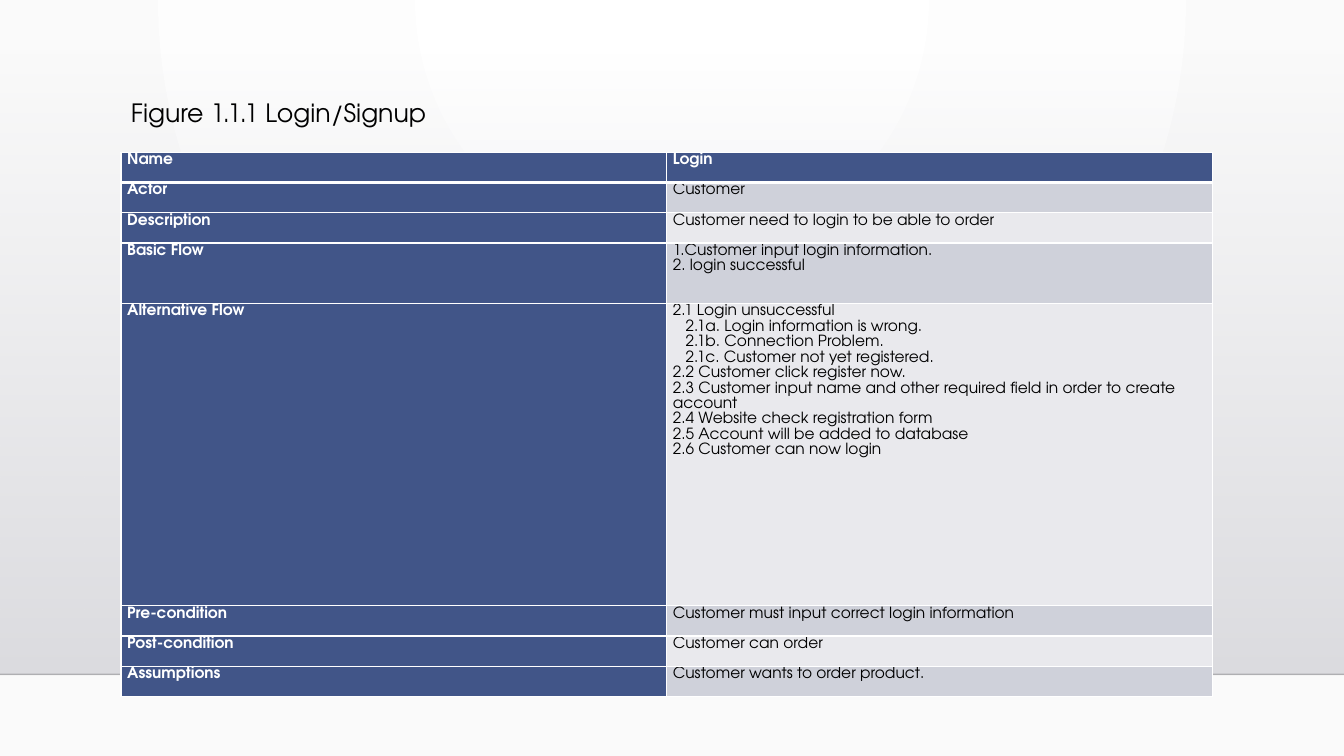
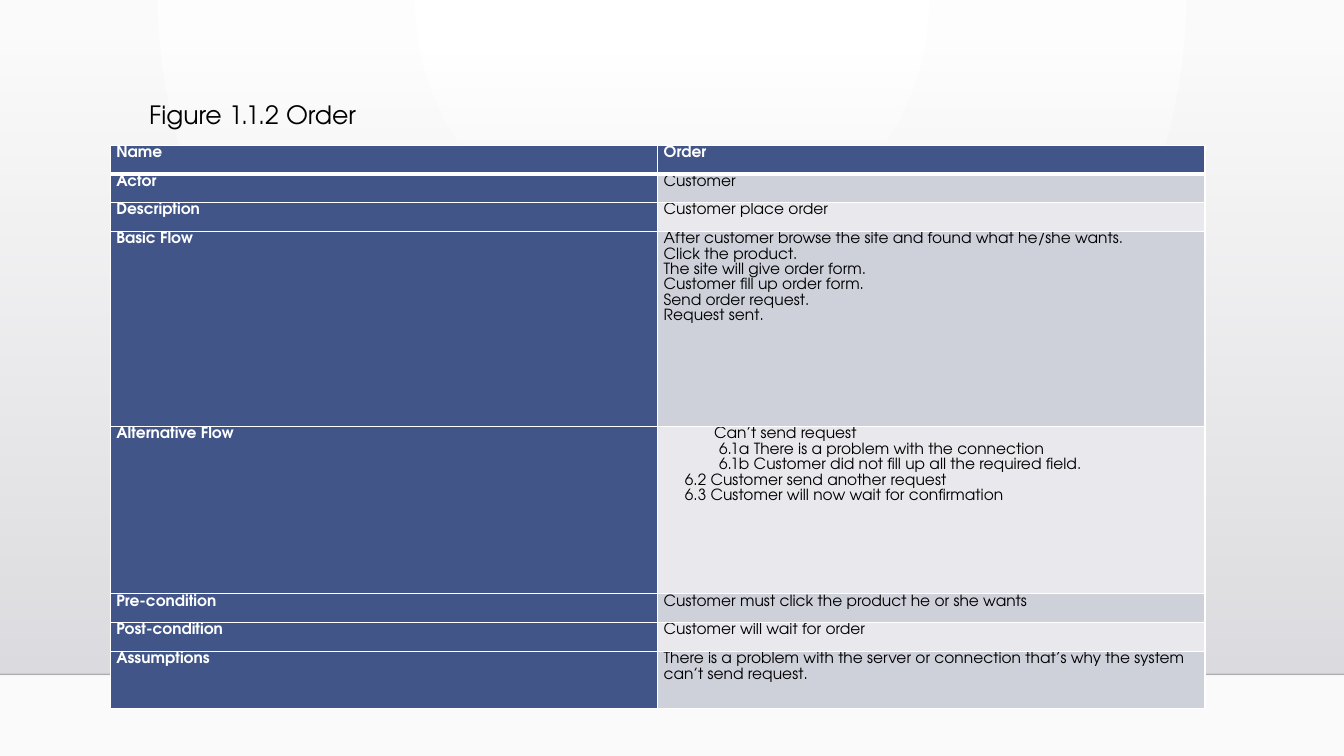
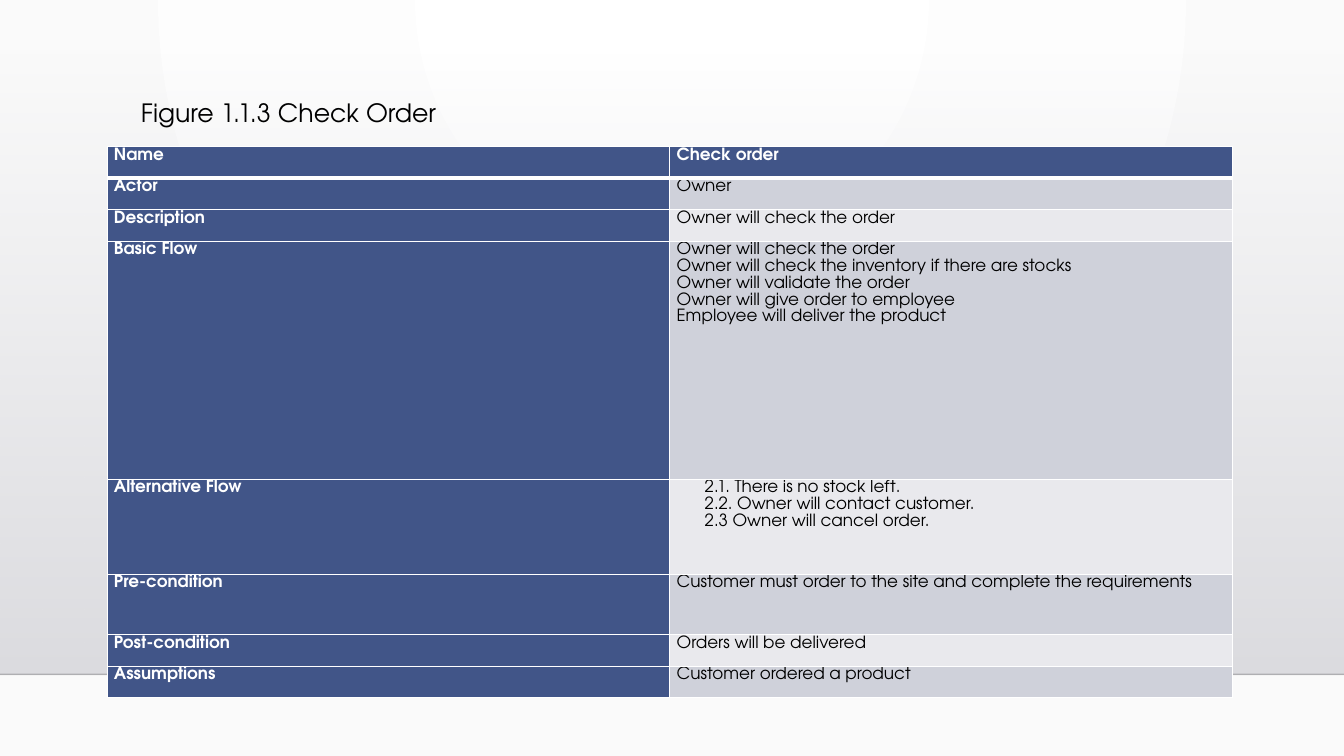
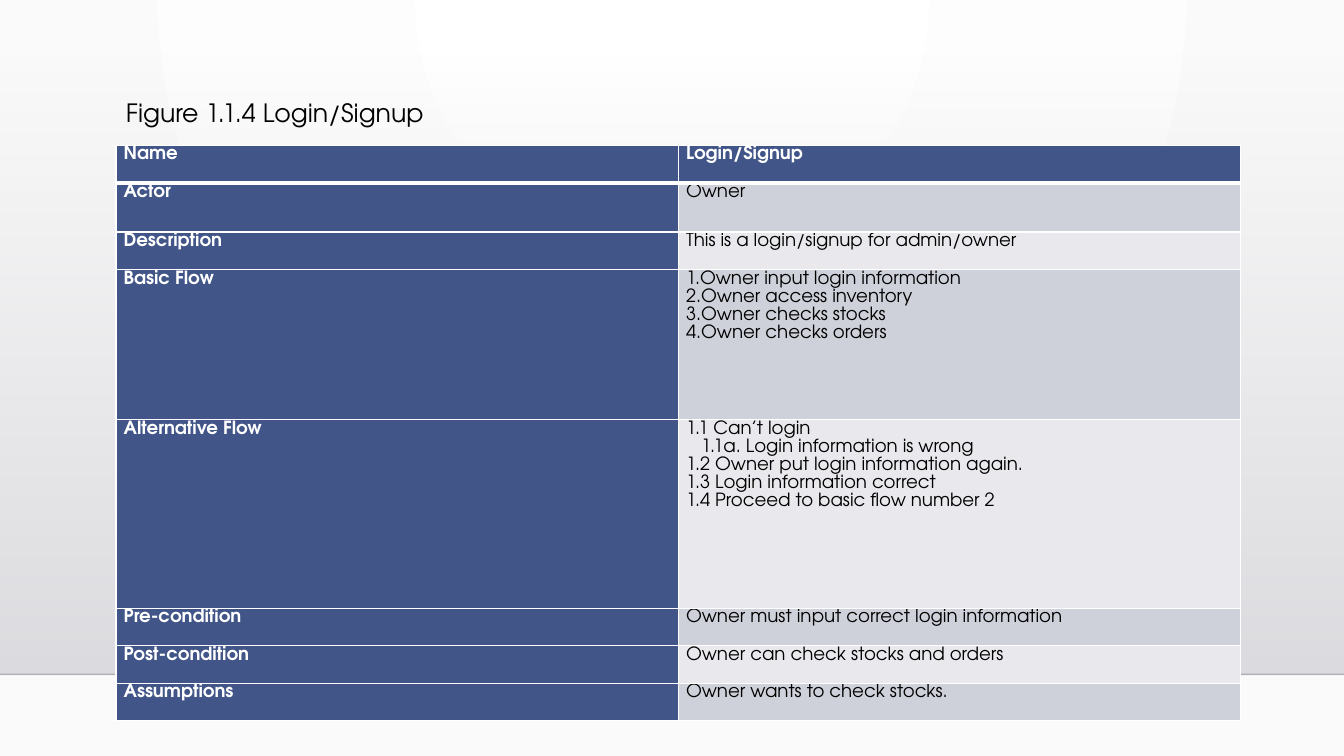
from lxml.etree import SubElement
from pptx import Presentation
from pptx.dml.color import RGBColor
from pptx.enum.shapes import MSO_CONNECTOR, MSO_SHAPE
from pptx.oxml import parse_xml
from pptx.oxml.ns import nsdecls, qn
from pptx.util import Pt

FONT = "TeX Gyre Adventor"
COLOURS = {
    "text": "000000",
    "white": "FFFFFF",
    "heading": "415588",
    "odd": "CFD1DA",
    "even": "E9E9ED",
    "page_edge": "FAFAFA",
    "band_top": "DCDCE0",
    "band_bottom": "DEDEE2",
    "floor": "000001",
}
LABELS = ["Name", "Actor", "Description", "Basic Flow", "Alternative Flow",
          "Pre-condition", "Post-condition", "Assumptions"]

USE_CASES = [
    {
        "title": "Figure 1.1.1 Login/Signup", "title_at": (86.4, 66.2),
        "table_at": (86.4, 108.7), "column": 389.8, "size": 11, "inset": 4.4,
        "rows": [21.6, 21.6, 21.6, 43.2, 216, 21.6, 21.6, 21.6],
        "details": [
            ["Login"],
            ["Customer"],
            ["Customer need to login to be able to order"],
            ["1.Customer input login information.", "2. login successful"],
            ["2.1 Login unsuccessful",
             ("2.1a. Login information is wrong.", 9.1),
             ("2.1b. Connection Problem.", 9.1),
             ("2.1c. Customer not yet registered.", 9.1),
             "2.2 Customer click register now.",
             "2.3 Customer input name and other required field in order to create account",
             "2.4 Website check registration form",
             "2.5 Account will be added to database",
             "2.6 Customer can now login"],
            ["Customer must input correct login information"],
            ["Customer can order"],
            ["Customer wants to order product."],
        ],
    },
    {
        "title": "Figure 1.1.2 Order", "title_at": (99.4, 67.4),
        "table_at": (78.7, 103.7), "column": 391, "size": 11, "inset": 4.4,
        "rows": [20.5, 20.5, 20.5, 139.5, 119.5, 20.5, 20.5, 41],
        "details": [
            ["Order"],
            ["Customer"],
            ["Customer place order"],
            ["After customer browse the site and found what he/she wants.",
             "Click the product.",
             "The site will give order form.",
             "Customer fill up order form.",
             "Send order request.",
             "Request sent."],
            [("Can’t send request", 36),
             ("6.1a There is a problem with the connection", 39.6),
             ("6.1b Customer did not fill up all the required field.", 39.6),
             ("6.2 Customer send another request", 15.2),
             ("6.3 Customer will now wait for confirmation", 15.2)],
            ["Customer must click the product he or she wants"],
            ["Customer will wait for order"],
            ["There is a problem with the server or connection that’s why the system can’t send request."],
        ],
    },
    {
        "title": "Figure 1.1.3 Check Order", "title_at": (93.6, 66.2),
        "table_at": (76.5, 104.7), "column": 402, "size": 12, "inset": 4.9,
        "rows": [22.6, 22.6, 22.6, 170, 67.8, 43, 22.6, 22.6],
        "details": [
            ["Check order"],
            ["Owner"],
            ["Owner will check the order"],
            ["Owner will check the order",
             "Owner will check the inventory if there are stocks",
             "Owner will validate the order",
             "Owner will give order to employee",
             "Employee will deliver the product"],
            [("2.1. There is no stock left.", 20),
             ("2.2. Owner will contact customer.", 20),
             ("2.3 Owner will cancel order.", 20)],
            ["Customer must order to the site and complete the requirements"],
            ["Orders will be delivered"],
            ["Customer ordered a product"],
        ],
    },
    {
        "title": "Figure 1.1.4 Login/Signup", "title_at": (82.8, 66.2),
        "table_at": (82.8, 103.7), "column": 401.8, "size": 13, "inset": 5.5,
        "rows": [26.8, 35.2, 26.8, 107.4, 134.6, 26.8, 26.8, 26.8],
        "details": [
            ["Login/Signup"],
            ["Owner"],
            ["This is a login/signup for admin/owner"],
            ["1.Owner input login information",
             "2.Owner access inventory",
             "3.Owner checks stocks",
             "4.Owner checks orders"],
            ["1.1 Can’t login",
             ("1.1a. Login information is wrong", 10.8),
             "1.2 Owner put login information again.",
             "1.3 Login information correct",
             "1.4 Proceed to basic flow number 2"],
            ["Owner must input correct login information"],
            ["Owner can check stocks and orders"],
            ["Owner wants to check stocks."],
        ],
    },
]


def set_gradient(properties, start, end, direction, start_alpha=100):
    gradient = parse_xml(
        f'<a:gradFill {nsdecls("a")} rotWithShape="1"><a:gsLst>'
        f'<a:gs pos="0"><a:srgbClr val="{COLOURS[start]}">'
        f'<a:alpha val="{start_alpha * 1000}"/></a:srgbClr></a:gs>'
        f'<a:gs pos="100000"><a:srgbClr val="{COLOURS[end]}"/></a:gs>'
        f'</a:gsLst>{direction}</a:gradFill>')
    properties.replace(properties.find(qn("a:solidFill")), gradient)


def fill_cell(cell, lines, colour, text_colour, bold, case, top, bottom):
    properties = cell._tc.get_or_add_tcPr()
    for side, width in (("L", 1), ("R", 1), ("T", top), ("B", bottom)):
        border = SubElement(properties, qn(f"a:ln{side}"), w=str(Pt(width)))
        paint = SubElement(border, qn("a:solidFill"))
        SubElement(paint, qn("a:srgbClr"), val=COLOURS["white"])
    cell.fill.solid()
    cell.fill.fore_color.rgb = RGBColor.from_string(COLOURS[colour])
    cell.margin_left = cell.margin_right = Pt(case["inset"])
    cell.margin_top = cell.margin_bottom = Pt(0)
    for index, line in enumerate(lines):
        text, indent = line if isinstance(line, tuple) else (line, 0)
        frame = cell.text_frame
        para = frame.add_paragraph() if index else frame.paragraphs[0]
        para.text = text
        para.line_spacing = 1.07
        if indent:
            para._p.get_or_add_pPr().set("marL", str(Pt(indent)))
        para.font.name = FONT
        para.font.size = Pt(case["size"])
        para.font.bold = bold
        para.font.color.rgb = RGBColor.from_string(COLOURS[text_colour])


deck = Presentation()
deck.slide_width = Pt(960)
deck.slide_height = Pt(540)
blank = deck.slide_layouts[6]
pages = [deck.slides.add_slide(blank) for case in USE_CASES]

master = deck.slide_master
master.background.fill.solid()
set_gradient(master.element.find(".//" + qn("p:bgPr")), "white", "page_edge",
             '<a:path path="circle"><a:fillToRect l="43000" t="0" r="43000" b="100000"/></a:path>')

band = pages[0].shapes.add_shape(MSO_SHAPE.RECTANGLE, Pt(0), Pt(36.7), Pt(960), Pt(445))
band.shadow.inherit = False
band.line.fill.background()
band.fill.solid()
set_gradient(band._element.spPr, "band_top", "band_bottom",
             '<a:lin ang="5400000" scaled="0"/>', start_alpha=0)

floor = pages[0].shapes.add_connector(MSO_CONNECTOR.STRAIGHT, Pt(0), Pt(481.7), Pt(960), Pt(481.7))
floor.line.width = Pt(1)
floor.line.color.rgb = RGBColor.from_string(COLOURS["floor"])
floor_colour = floor._element.spPr.find(".//" + qn("a:srgbClr"))
SubElement(floor_colour, qn("a:alpha"), val="20000")
SubElement(floor._element.spPr, qn("a:effectLst"))

for position, shape in enumerate((band, floor), start=2):
    master.element.cSld.spTree.insert(position, shape._element)

for page, case in zip(pages, USE_CASES):
    left, top = case["table_at"]
    table = page.shapes.add_table(len(LABELS), 2, Pt(left), Pt(top),
                                  Pt(2 * case["column"]), Pt(sum(case["rows"]))).table
    for column in table.columns:
        column.width = Pt(case["column"])
    for index, (label, lines) in enumerate(zip(LABELS, case["details"])):
        table.rows[index].height = Pt(case["rows"][index])
        is_header = index == 0
        top_width = 3 if index == 1 else 1
        bottom_width = 3 if is_header else 1
        shade = "heading" if is_header else "odd" if index % 2 else "even"
        fill_cell(table.cell(index, 0), [label], "heading", "white", True,
                  case, top_width, bottom_width)
        fill_cell(table.cell(index, 1), lines, shade, "white" if is_header else "text",
                  is_header, case, top_width, bottom_width)

    left, top = case["title_at"]
    box = page.shapes.add_textbox(Pt(left), Pt(top), Pt(275), Pt(29))
    box.text_frame.word_wrap = True
    para = box.text_frame.paragraphs[0]
    para.text = case["title"]
    para.font.name = FONT
    para.font.size = Pt(18)
    para.font.color.rgb = RGBColor.from_string(COLOURS["text"])

deck.save("out.pptx")
